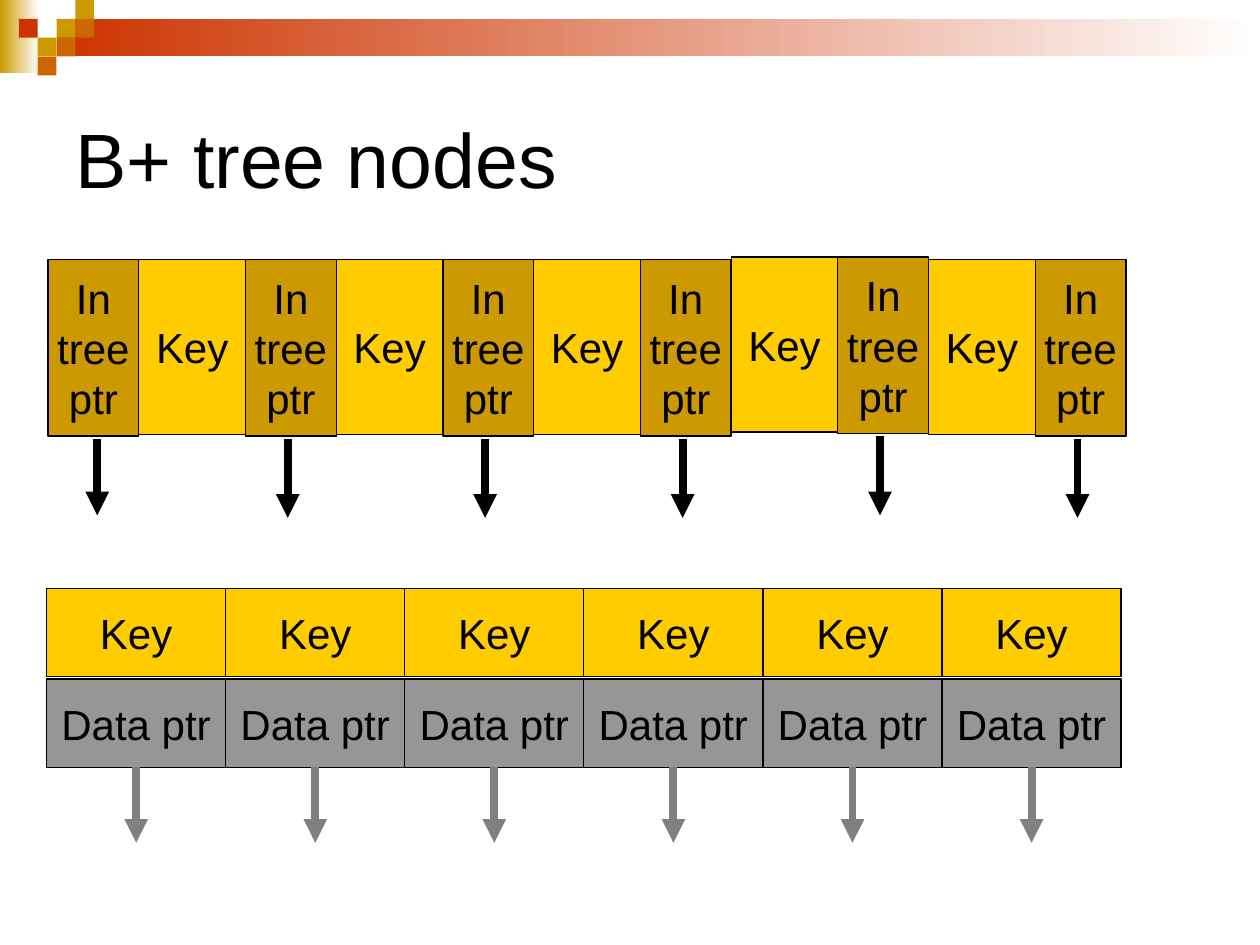
from lxml import etree
from pptx import Presentation
from pptx import util as u
from pptx.dml.color import RGBColor
from pptx.enum import shapes, text
from pptx.oxml.ns import qn

HUES = {"gold": "CC9900", "red": "CC3300", "rust": "CC6600", "key": "FFCC00",
        "data": "969696", "gray": "808080", "black": "000000", "white": "FFFFFF"}
COUNT = 6


def rgb(name):
    return RGBColor.from_string(HUES[name])


class Deck:
    """Holds the style and the slide being filled; lengths are in cm."""
    face = "Arial"

    def __init__(self):
        self.prs = Presentation()
        self.prs.slide_width, self.prs.slide_height = u.Cm(25.4), u.Cm(19.05)
        self.slide = self.prs.slides.add_slide(self.prs.slide_layouts[5])

    def label(self, shape, words, size, align, wrap):
        frame = shape.text_frame
        frame.text = words
        form = {"word_wrap": wrap, "auto_size": text.MSO_AUTO_SIZE.NONE,
                "vertical_anchor": text.MSO_ANCHOR.MIDDLE}
        for name, value in form.items():
            setattr(frame, name, value)
        para = frame.paragraphs[0]
        para.alignment = align
        for name, value in {"name": self.face, "size": u.Pt(size)}.items():
            setattr(para.font, name, value)
        para.font.color.rgb = rgb("black")

    def title(self, words, *box):
        head = self.slide.shapes.title
        for name, value in zip(("left", "top", "width", "height"), box):
            setattr(head, name, u.Cm(value))
        self.label(head, words, 44, text.PP_ALIGN.LEFT, True)

    def rect(self, hue, *box):
        shape = self.slide.shapes.add_shape(
            shapes.MSO_SHAPE.RECTANGLE, *map(u.Cm, box))
        shape.shadow.inherit = False
        shape.fill.solid()
        shape.fill.fore_color.rgb = rgb(hue)
        shape.line.fill.background()
        return shape

    def fade(self, hue, *box):
        """Rectangle running from the hue on the left to white."""
        fill = self.rect(hue, *box).fill
        fill.gradient()
        fill.gradient_angle = 0
        for stop, name in zip(fill.gradient_stops, (hue, "white")):
            stop.color.rgb = rgb(name)

    def cell(self, words, hue, *box):
        shape = self.rect(hue, *box)
        shape.line.color.rgb = rgb("black")
        shape.line.width = u.Pt(0.75)
        self.label(shape, words, 24, text.PP_ALIGN.CENTER, False)
        return shape

    def arrow(self, hue, x, top, end, source=None):
        link = self.slide.shapes.add_connector(
            shapes.MSO_CONNECTOR.STRAIGHT, *map(u.Cm, (x, top, x, end)))
        if source is not None:
            link.begin_connect(source, 2)
        link.line.color.rgb = rgb(hue)
        link.line.width = u.Pt(4.5)
        props = link._element.spPr
        etree.SubElement(props.find(qn("a:ln")), qn("a:tailEnd"), type="triangle")
        etree.SubElement(props, qn("a:effectLst"))


def trim(deck):
    """Fading bands and small squares along the top edge."""
    deck.fade("gold", 0, 0, 0.79, 1.47)
    deck.fade("red", 1.14, 0.38, 24.26, 0.76)
    side = 0.38
    for hue, col, row in (("gold", 3, 1), ("gold", 4, 0), ("rust", 4, 1),
                          ("gold", 2, 2), ("red", 1, 1), ("rust", 3, 2),
                          ("rust", 2, 3)):
        deck.rect(hue, col * side, row * side, side, side)


def inner(deck):
    """Index node: tree pointers with keys between them."""
    ptr, key = 1.83, 2.15
    for i in range(COUNT):
        x = 0.97 + i * (ptr + key)
        top = 5.18 if i == 4 else 5.23
        if i:
            deck.cell("Key", "key", x - key, top, key, 3.53)
        shift, reach = (0.85, 5.21) if i else (0.99, 5.16)
        deck.arrow("black", x + shift, top + 3.61, top + reach)
        deck.cell("In\vtree\vptr", "gold", x, top, ptr, 3.56)


def leaf(deck):
    """Leaf node: each key above its data pointer."""
    wide, high = 3.61, 1.78
    for i in range(COUNT):
        x = 0.94 + i * wide
        deck.cell("Key", "key", x, 11.86, wide, high)
        data = deck.cell("Data ptr", "data", x, 13.69, wide, high)
        deck.arrow("gray", x + wide / 2, 13.69 + high, 16.99, data)


def main():
    deck = Deck()
    trim(deck)
    deck.title("B+ tree nodes", 1.27, 1.27, 22.86, 3.81)
    inner(deck)
    leaf(deck)
    deck.prs.save("out.pptx")


if __name__ == "__main__":
    main()
